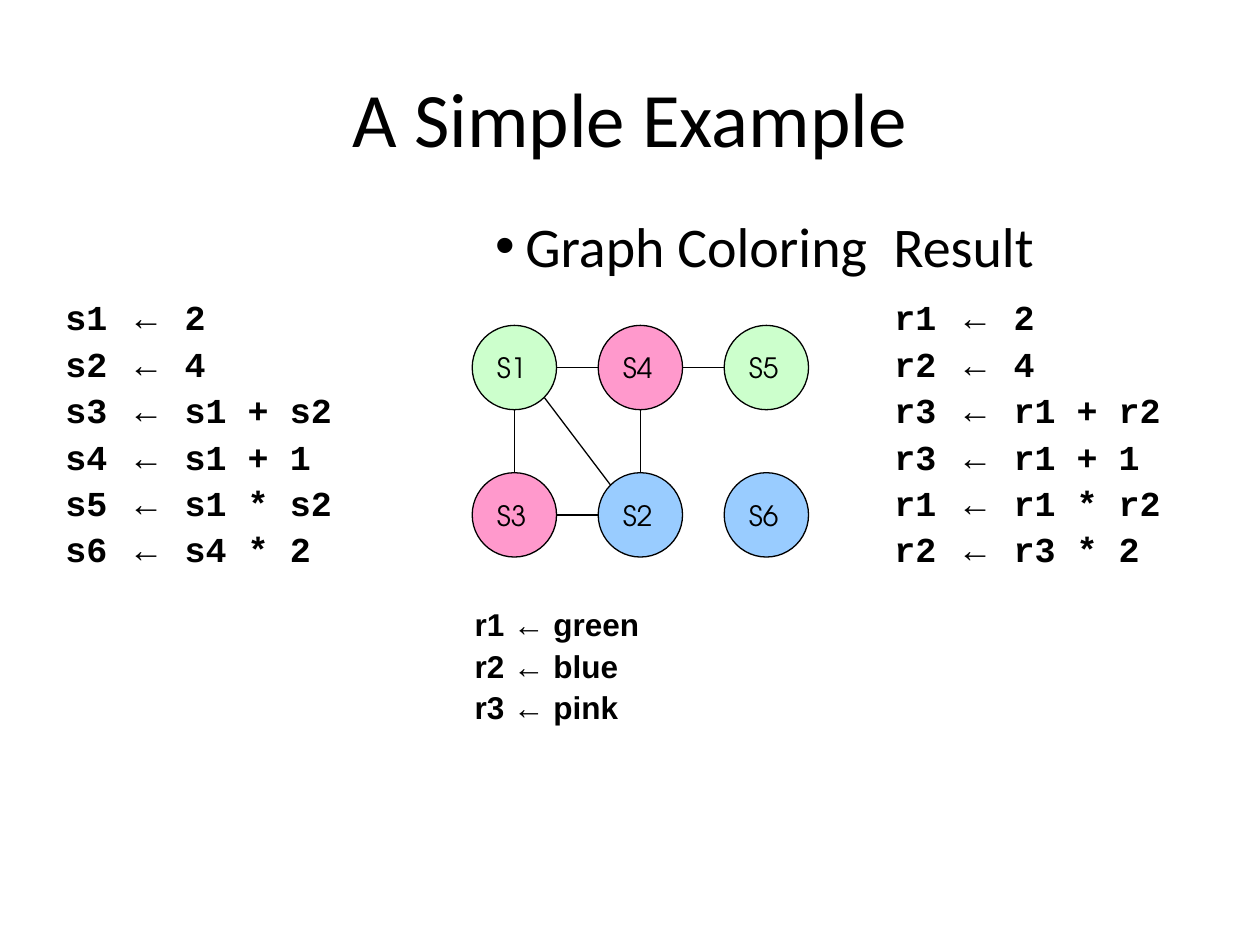
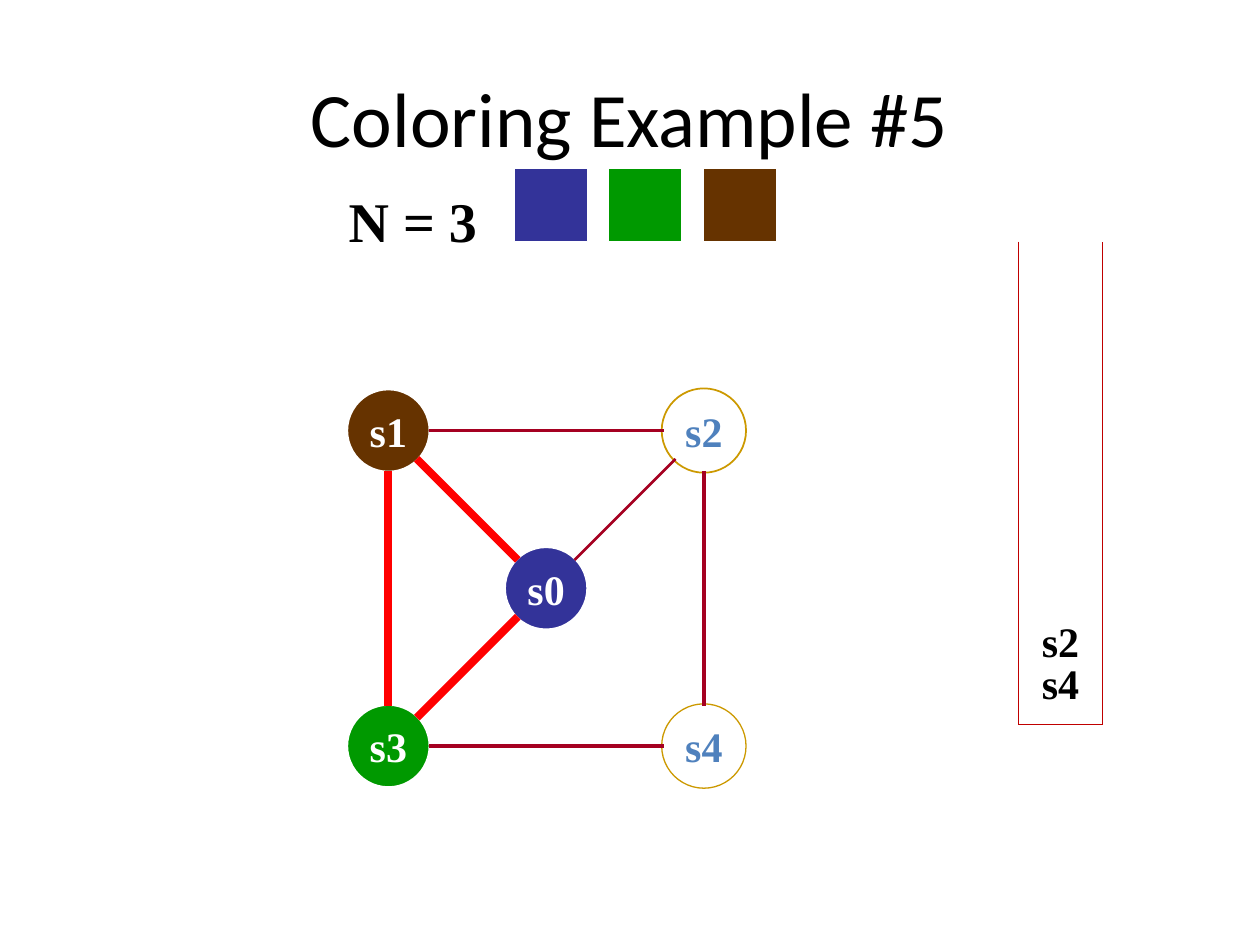
"""Build two slides on register allocation by graph coloring."""
import math

import lxml.etree
import pptx
import pptx.dml.color
import pptx.enum.shapes
import pptx.enum.text
import pptx.oxml.ns
import pptx.util

Cm = pptx.util.Cm
Pt = pptx.util.Pt
ALIGN = pptx.enum.text.PP_ALIGN
ANCHOR = pptx.enum.text.MSO_ANCHOR
SHAPE = pptx.enum.shapes.MSO_SHAPE
rgb = pptx.dml.color.RGBColor.from_string
qn = pptx.oxml.ns.qn

COLORS = {
    "black": "000000", "white": "FFFFFF",
    "light green": "CCFFCC", "pink": "FF99CC", "light blue": "99CCFF",
    "blue": "333399", "green": "009900", "brown": "663300",
    "gold": "CC9900", "label blue": "4F81BD",
    "wine": "A50021", "red": "FF0000", "stack red": "C00000",
}
ARROW = "←"
NODE_RADIUS = 0.85


def write(shape, lines, font, size, color="black", bold=False, align=ALIGN.LEFT,
          anchor=ANCHOR.TOP, wrap=True, space=0):
    """Fill a shape with one paragraph per line; arrows are set in Arial."""
    frame = shape.text_frame
    frame.word_wrap = wrap
    frame.vertical_anchor = anchor
    frame.text = "\n".join(lines)
    for para, line in zip(frame.paragraphs, lines):
        para.alignment = align
        para.space_before = Pt(space)
        para.text = ""
        for piece in filter(None, line.partition(ARROW)):
            span = para.add_run()
            span.text = piece
            span.font.name = "Arial" if piece == ARROW else font
            span.font.size = Pt(size)
            span.font.bold = bold
            span.font.color.rgb = rgb(COLORS[color])


def draw_line(page, start, end, color, width):
    """Draw a straight line between two points given in centimetres."""
    line = page.shapes.add_connector(
        pptx.enum.shapes.MSO_CONNECTOR.STRAIGHT, *map(Cm, start + end))
    line.line.color.rgb = rgb(COLORS[color])
    line.line.width = Pt(width)
    lxml.etree.SubElement(line._element.spPr, qn("a:effectLst"))


deck = pptx.Presentation()
deck.slide_width, deck.slide_height = Cm(25.4), Cm(19.05)

pages = []
for title in ["A Simple Example", "Coloring Example #5"]:
    page = deck.slides.add_slide(deck.slide_layouts[6])
    box = page.shapes.add_textbox(Cm(1.27), Cm(0.76), Cm(22.86), Cm(3.18))
    write(box, [title], "Calibri", 44, align=ALIGN.CENTER, anchor=ANCHOR.MIDDLE)
    pages.append(page)
simple_page, stack_page = pages

code_listings = [
    (1.07, 8.25, ["s1 ← 2", "s2 ← 4", "s3 ← s1 + s2", "s4 ← s1 + 1", "s5 ← s1 * s2", "s6 ← s4 * 2"]),
    (17.78, 6.55, ["r1 ← 2", "r2 ← 4", "r3 ← r1 + r2", "r3 ← r1 + 1", "r1 ← r1 * r2", "r2 ← r3 * 2"]),
]
for left, width, lines in code_listings:
    box = simple_page.shapes.add_textbox(Cm(left), Cm(5.84), Cm(width), Cm(7.06))
    write(box, lines, "Courier New", 20, bold=True, space=2.5)

box = simple_page.shapes.add_textbox(Cm(9.32), Cm(12.07), Cm(6.99), Cm(3.6))
write(box, ["r1 ← green", "r2 ← blue", "r3 ← pink"], "Arial", 18, bold=True, space=2.2)

box = simple_page.shapes.add_textbox(Cm(9.73), Cm(4.14), Cm(13.59), Cm(2.97))
write(box, ["Graph Coloring\tResult"], "Calibri", 32)
properties = box.text_frame.paragraphs[0]._p.get_or_add_pPr()
properties.set("marL", str(Cm(0.61)))
properties.set("indent", str(-Cm(0.61)))
lxml.etree.SubElement(properties, qn("a:buFont"), typeface="Arial")
lxml.etree.SubElement(properties, qn("a:buChar"), char="•")
tabs = lxml.etree.SubElement(properties, qn("a:tabLst"))
lxml.etree.SubElement(tabs, qn("a:tab"), pos=str(Cm(8.03)), algn="l")

graphs = [
    {
        "page": simple_page, "origin": (10.37, 7.41), "pitch": (2.54, 2.97),
        "font": ("TeX Gyre Adventor", 16), "bold": False,
        "align": ALIGN.LEFT, "reach": 0.85,
        "nodes": {
            "S1": (0, 0, "light green", "black", 0.75, "black"),
            "S4": (1, 0, "pink", "black", 0.75, "black"),
            "S5": (2, 0, "light green", "black", 0.75, "black"),
            "S3": (0, 1, "pink", "black", 0.75, "black"),
            "S2": (1, 1, "light blue", "black", 0.75, "black"),
            "S6": (2, 1, "light blue", "black", 0.75, "black"),
        },
        "edges": [(pair, "black", 0.75) for pair in
                  ["S1 S3", "S1 S2", "S1 S4", "S3 S2", "S4 S2", "S4 S5"]],
    },
    {
        "page": stack_page, "origin": (7.83, 8.68), "pitch": (3.18, 3.18),
        "font": ("Times New Roman", 24), "bold": True,
        "align": ALIGN.CENTER, "reach": 0.81,
        "nodes": {
            "s1": (0, 0, "brown", "white", 2.25, "white"),
            "s2": (2, 0, None, "gold", 1, "label blue"),
            "s3": (0, 2, "green", "white", 2.25, "white"),
            "s4": (2, 2, None, "gold", 0.75, "label blue"),
            "s0": (1, 1, "blue", "white", 2.25, "white"),
        },
        "edges": [
            ("s1 s2", "wine", 1.5), ("s0 s2", "wine", 1.5),
            ("s1 s0", "red", 4.5), ("s1 s3", "red", 4.5),
            ("s3 s4", "wine", 2.25), ("s2 s4", "wine", 2.25),
            ("s3 s0", "red", 4.5),
        ],
    },
]
for graph in graphs:
    centers = {}
    for name, (column, row, fill, outline, width, ink) in graph["nodes"].items():
        x, y = (start + step * place for start, step, place
                in zip(graph["origin"], graph["pitch"], (column, row)))
        centers[name] = (x, y)
        node = graph["page"].shapes.add_shape(
            SHAPE.OVAL, Cm(x - NODE_RADIUS), Cm(y - NODE_RADIUS),
            Cm(2 * NODE_RADIUS), Cm(2 * NODE_RADIUS))
        node.shadow.inherit = False
        if fill:
            node.fill.solid()
            node.fill.fore_color.rgb = rgb(COLORS[fill])
        else:
            node.fill.background()
        node.line.color.rgb = rgb(COLORS[outline])
        node.line.width = Pt(width)
        write(node, [name], *graph["font"], ink, graph["bold"],
              graph["align"], ANCHOR.MIDDLE, wrap=False)
    for pair, color, width in graph["edges"]:
        (x1, y1), (x2, y2) = (centers[name] for name in pair.split())
        eighth = math.pi / 4
        angle = round(math.atan2(y2 - y1, x2 - x1) / eighth) * eighth
        dx, dy = graph["reach"] * math.cos(angle), graph["reach"] * math.sin(angle)
        draw_line(graph["page"], (x1 + dx, y1 + dy), (x2 - dx, y2 - dy), color, width)

box = stack_page.shapes.add_textbox(Cm(6.78), Cm(3.63), Cm(3.1), Cm(1.63))
write(box, ["N = 3"], "Times New Roman", 32, bold=True, anchor=ANCHOR.MIDDLE, wrap=False)
for index, color in enumerate(["blue", "green", "brown"]):
    swatch = stack_page.shapes.add_shape(
        SHAPE.RECTANGLE, Cm(10.37 + 1.9 * index), Cm(3.39), Cm(1.48), Cm(1.48))
    swatch.shadow.inherit = False
    swatch.fill.solid()
    swatch.fill.fore_color.rgb = rgb(COLORS[color])
    swatch.line.color.rgb = rgb(COLORS["white"])
    swatch.line.width = Pt(0.75)

stack_corners = [(20.53, 4.87), (20.53, 14.6), (22.23, 14.6), (22.23, 4.87)]
for start, end in zip(stack_corners, stack_corners[1:]):
    draw_line(stack_page, start, end, "stack red", 0.75)
for index, name in enumerate(["s2", "s4"]):
    box = stack_page.shapes.add_textbox(Cm(20.53), Cm(12.28 + 0.85 * index), Cm(1.7), Cm(1.27))
    write(box, [name], "Times New Roman", 24, bold=True, align=ALIGN.CENTER, anchor=ANCHOR.MIDDLE)

deck.save("out.pptx")
